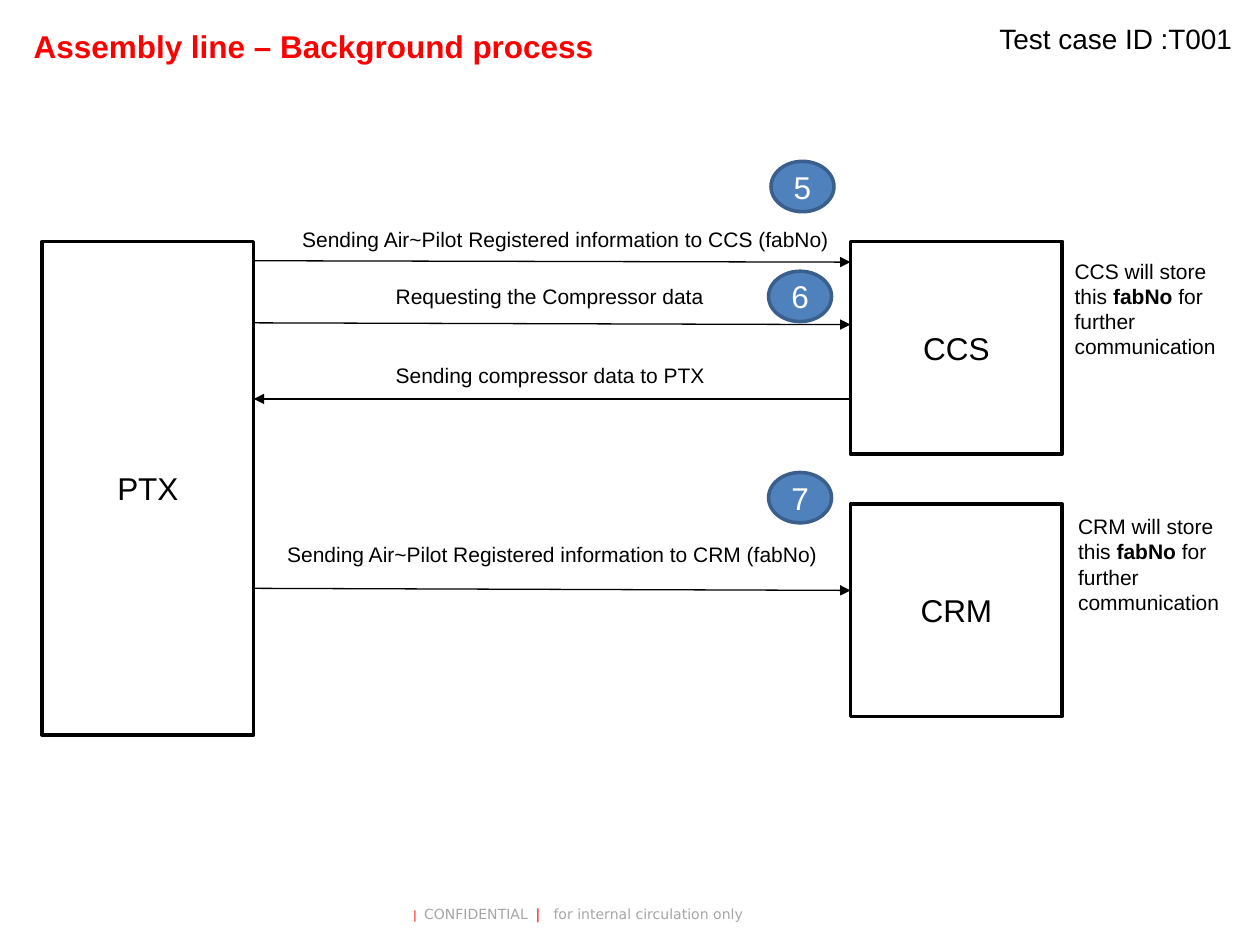
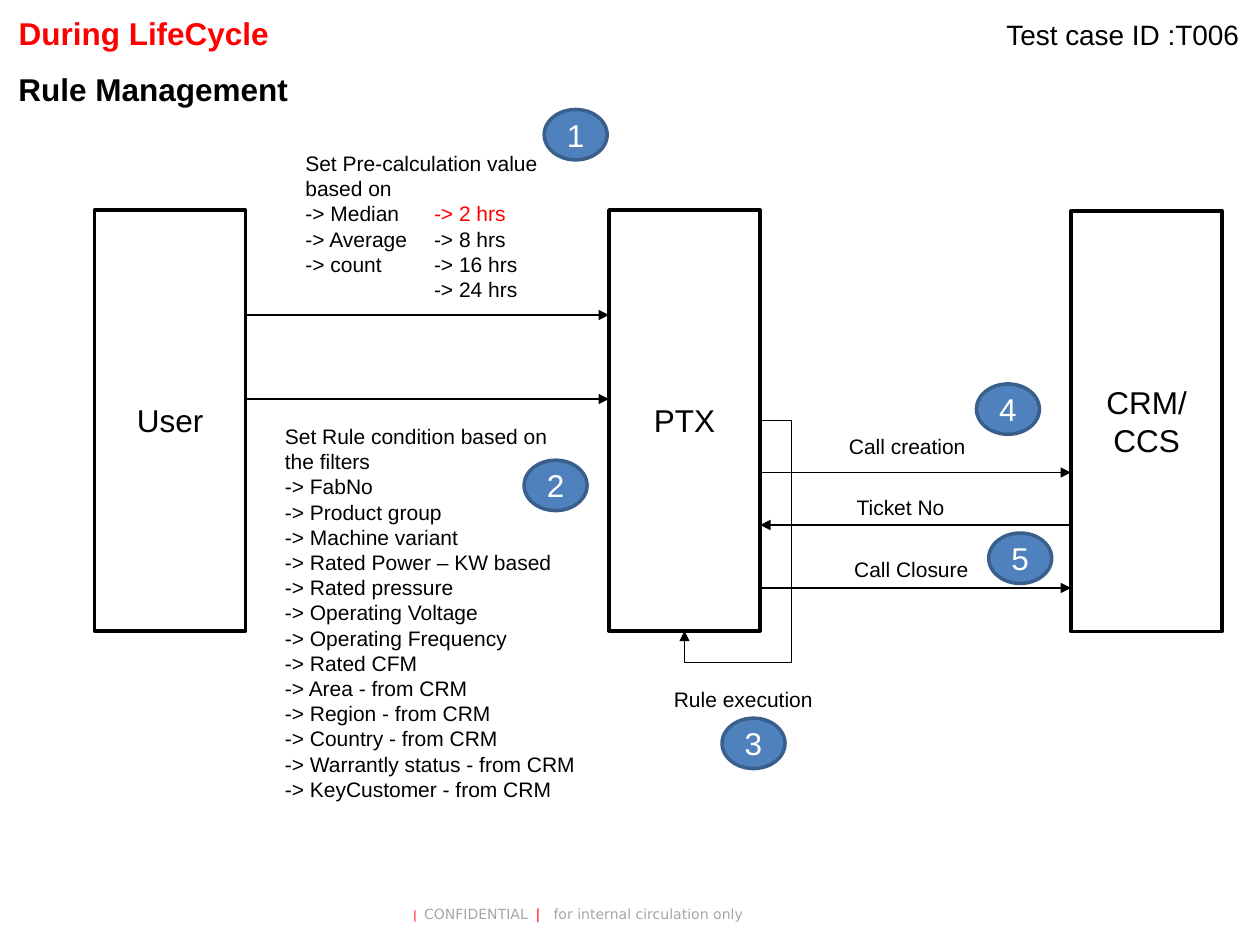
"""Build two test-case flow slides: assembly line background process and rule management."""
from lxml import etree
from pptx import Presentation
from pptx.dml.color import RGBColor
from pptx.enum import shapes, text
from pptx.oxml.ns import qn
from pptx.util import Pt

BLACK = RGBColor(0x00, 0x00, 0x00)
WHITE = RGBColor(0xFF, 0xFF, 0xFF)
RED = RGBColor(0xFF, 0x00, 0x00)
GREY = RGBColor(0xA6, 0xA6, 0xA6)
BLUE = RGBColor(0x4F, 0x81, 0xBD)
DARK_BLUE = RGBColor(0x3A, 0x5F, 0x8C)

BODY_FONT, FOOTER_FONT = "Arial", "DejaVu Sans"
SLIDE_WIDTH, SLIDE_HEIGHT = 720, 540
BADGE_SIZE = (36, 28.8)
HEADING_SIZE = (360, 28.8)
LABEL_HEIGHT = 21.6

FOOTER_BOX = (236, 515, 220, 15)
FOOTER_TABS = (6.3, 70, 80.3)
FOOTER = [[
    ("|\t", {"size": 6.5, "color": RED}),
    ("CONFIDENTIAL", {}),
    ("\t|\t", {"color": RED}),
    ("for internal circulation only", {}),
]]
PERIOD_TABS = (73.5,)

RULE_FILTERS = [
    "FabNo", "Product group", "Machine variant", "Rated Power – KW based",
    "Rated pressure", "Operating Voltage", "Operating Frequency", "Rated CFM",
    "Area - from CRM", "Region - from CRM", "Country - from CRM",
    "Warrantly status - from CRM", "KeyCustomer - from CRM",
]


def storage_note(system):
    """Return the paragraph telling what a system stores."""
    return [[f"{system} will store this ", ("fabNo", {"bold": True}),
             " for further communication"]]


SLIDES = [
    {
        "title": ("Assembly line – Background process", 12, 12),
        "case": ("Test case ID :T001", 564, 8.6),
        "systems": {
            "PTX": (24, 138, 121, 282),
            "CCS": (486, 138, 121, 121.5),
            "CRM": (486, 288, 121, 121.5),
        },
        "arrows": [
            ("PTX", "CCS", 149, 149.8),
            ("PTX", "CCS", 184.5, 185.5),
            ("CCS", "PTX", 228, 228),
            ("PTX", "CRM", 336.2, 337.4),
        ],
        "labels": [
            ("Sending Air~Pilot Registered information to CCS (fabNo)", 165.6, 126, 320.4),
            ("Requesting the Compressor data", 219, 158.4, 246.2),
            ("Sending compressor data to PTX", 219, 203.8, 246.2),
            ("Sending Air~Pilot Registered information to CRM (fabNo)", 157, 306, 320.4),
        ],
        "notes": [
            (storage_note("CCS"), (607, 144, 100.8, 65.5), ()),
            (storage_note("CRM"), (609, 290, 98.6, 65.5), ()),
        ],
        "badges": {"5": (440.6, 92.2), "6": (439.2, 155), "7": (439.2, 270)},
    },
    {
        "title": ("During LifeCycle", 3.5, 4.3),
        "subtitle": ("Rule Management", 3.5, 36.3),
        "case": ("Test case ID :T006", 568, 6.5),
        "systems": {
            "User": (54, 120, 86.4, 240.5),
            "PTX": (348, 120, 86.4, 240.5),
            "CRM/\nCCS": (612, 120.5, 86.4, 240.5),
        },
        "arrows": [
            ("User", "PTX", 180, 180),
            ("User", "PTX", 228, 228),
            ("PTX", "CRM/\nCCS", 270, 270),
            ("CRM/\nCCS", "PTX", 300, 300),
            ("PTX", "CRM/\nCCS", 336, 336),
        ],
        "loop": "PTX",
        "labels": [
            ("Call creation", 478, 244, 90),
            ("Ticket No", 482.4, 279, 90),
            ("Call Closure", 481, 314.3, 90),
            ("Rule execution", 378, 388.8, 112.3),
        ],
        "notes": [
            ([["Set Pre-calculation value based on"],
              ["-> Median\t", ("-> 2 hrs", {"color": RED})],
              ["-> Average\t-> 8 hrs"],
              ["-> count\t-> 16 hrs"],
              ["\t-> 24 hrs"]], (167.4, 82.5, 157, 94.3), PERIOD_TABS),
            ([["Set Rule condition based on the filters"]]
             + [[f"-> {name}"] for name in RULE_FILTERS], (155.7, 238.5, 180.7, 239.8), ()),
        ],
        "badges": {"1": (311, 62.6), "2": (299.5, 263), "3": (412.6, 410.4),
                   "4": (558, 219.4), "5": (565, 304.6)},
    },
]


def points(values):
    """Turn a sequence of numbers into point lengths."""
    return [Pt(value) for value in values]


def write(shape, paragraphs, size, color=BLACK, bold=False, font=BODY_FONT,
          align=text.PP_ALIGN.LEFT, anchor=text.MSO_ANCHOR.TOP, tabs=()):
    """Fill a shape with paragraphs of runs; a run is a string or (string, overrides)."""
    frame = shape.text_frame
    frame.word_wrap = True
    frame.vertical_anchor = anchor
    for index, runs in enumerate(paragraphs):
        paragraph = frame.add_paragraph() if index else frame.paragraphs[0]
        paragraph.alignment = align
        if tabs:
            tab_list = etree.SubElement(paragraph._p.get_or_add_pPr(), qn("a:tabLst"))
            for position in tabs:
                etree.SubElement(tab_list, qn("a:tab"), pos=str(Pt(position)), algn="l")
        for item in runs:
            content, changes = (item, {}) if isinstance(item, str) else item
            run = paragraph.add_run()
            run.text = content
            run.font.name = font
            run.font.size = Pt(changes.get("size", size))
            run.font.bold = changes.get("bold", bold)
            run.font.color.rgb = changes.get("color", color)


def add_text(slide, paragraphs, box, size, **style):
    """Add a text box and return it."""
    shape = slide.shapes.add_textbox(*points(box))
    write(shape, paragraphs, size, **style)
    return shape


def add_node(slide, kind, lines, box, fill, outline, color):
    """Add an outlined shape with centred text."""
    shape = slide.shapes.add_shape(kind, *points(box))
    shape.shadow.inherit = False
    shape.fill.solid()
    shape.fill.fore_color.rgb = fill
    shape.line.color.rgb = outline
    shape.line.width = Pt(2)
    write(shape, [[line] for line in lines], 18, color,
          align=text.PP_ALIGN.CENTER, anchor=text.MSO_ANCHOR.MIDDLE)
    return shape


def add_arrow(slide, kind, start, end):
    """Add a thin black connector with an arrowhead at its end."""
    arrow = slide.shapes.add_connector(kind, *points((*start, *end)))
    arrow.line.color.rgb = BLACK
    arrow.line.width = Pt(0.75)
    etree.SubElement(arrow.line._get_or_add_ln(), qn("a:tailEnd"), type="triangle")
    etree.SubElement(arrow._element.spPr, qn("a:effectLst"))
    return arrow


def add_loop(slide, node, box):
    """Lead an arrow from a node's right side round to its bottom."""
    left, top, width, height = box
    arrow = add_arrow(slide, shapes.MSO_CONNECTOR.ELBOW,
                      (left + width, top + height / 2), (left + width / 2, top + height))
    arrow.begin_connect(node, 3)
    arrow.end_connect(node, 2)
    geometry = arrow._element.spPr.find(qn("a:prstGeom"))
    geometry.set("prst", "bentConnector4")
    guides = geometry.find(qn("a:avLst"))
    if guides is None:
        guides = etree.SubElement(geometry, qn("a:avLst"))
    for name, value in (("adj1", -41800), ("adj2", 115000)):
        etree.SubElement(guides, qn("a:gd"), name=name, fmla=f"val {value}")


def add_frame(slide, content):
    """Add the title, optional subtitle, test case ID and footer."""
    title, left, top = content["title"]
    heading = slide.shapes.title
    heading.left, heading.top, heading.width, heading.height = points((left, top, *HEADING_SIZE))
    write(heading, [[title]], 18, RED, bold=True)
    if "subtitle" in content:
        subtitle, left, top = content["subtitle"]
        add_text(slide, [[subtitle]], (left, top, *HEADING_SIZE), 18, bold=True)
    case, left, top = content["case"]
    add_text(slide, [[case]], (left, top, SLIDE_WIDTH - left, 26.6), 16)
    footer = add_text(slide, FOOTER, FOOTER_BOX, 8, color=GREY, font=FOOTER_FONT,
                      anchor=text.MSO_ANCHOR.MIDDLE, tabs=FOOTER_TABS)
    frame = footer.text_frame
    frame.margin_left = frame.margin_right = frame.margin_top = frame.margin_bottom = 0


def add_flow(slide, content):
    """Add systems, arrows, labels, notes and numbered badges."""
    systems = content["systems"]
    nodes = {
        name: add_node(slide, shapes.MSO_SHAPE.RECTANGLE, name.split("\n"), box,
                       WHITE, BLACK, BLACK)
        for name, box in systems.items()
    }
    for source, target, start_y, end_y in content["arrows"]:
        (source_left, _, source_width, _), (target_left, _, target_width, _) = (
            systems[source], systems[target])
        if source_left < target_left:
            start_x, end_x = source_left + source_width, target_left
        else:
            start_x, end_x = source_left, target_left + target_width
        add_arrow(slide, shapes.MSO_CONNECTOR.STRAIGHT, (start_x, start_y), (end_x, end_y))
    if "loop" in content:
        name = content["loop"]
        add_loop(slide, nodes[name], systems[name])
    for label, left, top, width in content["labels"]:
        add_text(slide, [[label]], (left, top, width, LABEL_HEIGHT), 12)
    for paragraphs, box, tabs in content["notes"]:
        add_text(slide, paragraphs, box, 12, tabs=tabs)
    for number, corner in content["badges"].items():
        add_node(slide, shapes.MSO_SHAPE.OVAL, [number], (*corner, *BADGE_SIZE),
                 BLUE, DARK_BLUE, WHITE)


def main():
    """Build and save the presentation."""
    presentation = Presentation()
    presentation.slide_width, presentation.slide_height = Pt(SLIDE_WIDTH), Pt(SLIDE_HEIGHT)
    for content in SLIDES:
        slide = presentation.slides.add_slide(presentation.slide_layouts[5])
        add_frame(slide, content)
        add_flow(slide, content)
    presentation.save("out.pptx")


if __name__ == "__main__":
    main()
